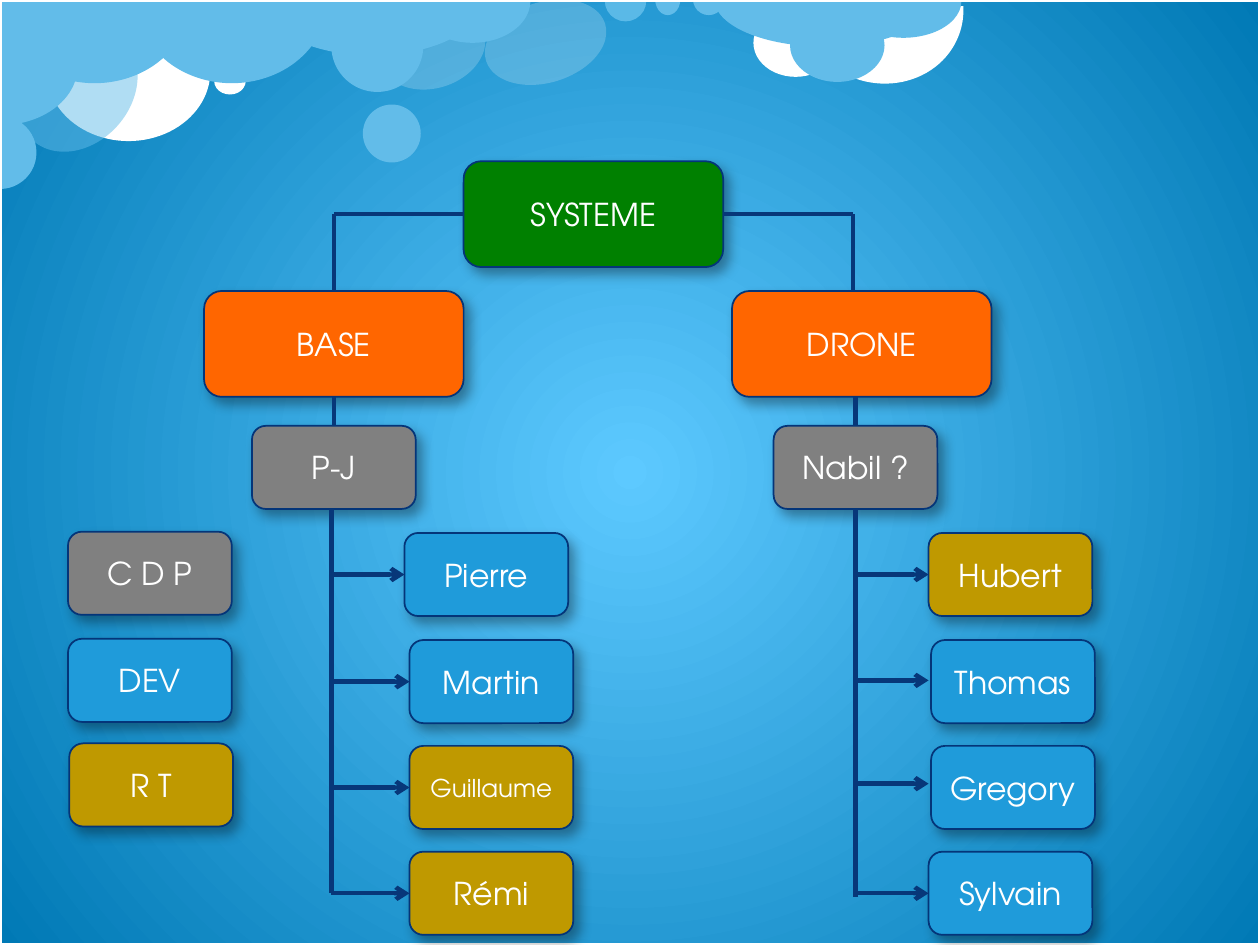
from lxml.etree import SubElement
from pptx import Presentation
from pptx.dml.color import RGBColor
from pptx.enum.shapes import MSO_CONNECTOR, MSO_SHAPE
from pptx.enum.text import MSO_ANCHOR, PP_ALIGN
from pptx.oxml.ns import qn
from pptx.util import Pt

PX = 9144
FONT = "TeX Gyre Adventor"
WHITE = RGBColor(0xFF, 0xFF, 0xFF)
GLOW = RGBColor(0x5D, 0xC9, 0xFF)
DEEP = RGBColor(0x00, 0x79, 0xB5)
CLOUD = RGBColor(0x62, 0xBC, 0xE9)
PALE = RGBColor(0x8F, 0xD9, 0xFB)
GREEN = RGBColor(0x00, 0x80, 0x00)
ORANGE = RGBColor(0xFF, 0x66, 0x00)
GRAY = RGBColor(0x80, 0x80, 0x80)
BLUE = RGBColor(0x1F, 0x9B, 0xDA)
GOLD = RGBColor(0xBF, 0x99, 0x00)
EDGE = RGBColor(0x04, 0x35, 0x79)
WIRE = RGBColor(0x07, 0x37, 0x79)

OVAL, PIE, ARC = MSO_SHAPE.OVAL, MSO_SHAPE.PIE, MSO_SHAPE.ARC
ANGLES = {OVAL: (), PIE: (0, 108), ARC: (151.8, 44.48)}

CLOUDS = [
    (OVAL, 311, -5, 64, 86, 72.8, WHITE, 20),
    (OVAL, 37, 1, 130, 111, 0, WHITE, 100),
    (ARC, 639, -60, 121, 131, 106.5, WHITE, 100),
    (OVAL, 598, 7, 67, 54, 0, WHITE, 100),
    (PIE, -1, -66, 152, 132, 0, CLOUD, 100),
    (PIE, 208, -44, 175, 88, 0, CLOUD, 100),
    (OVAL, 288, 83, 46, 46, 0, CLOUD, 100),
    (OVAL, 19, 18, 85, 107, 41.8, CLOUD, 50),
    (PIE, -29, 92, 58, 58, 270, CLOUD, 100),
    (OVAL, 170, 54, 25, 21, 0, WHITE, 100),
    (PIE, 108, -66, 152, 132, 0, CLOUD, 100),
    (PIE, 567, -38, 175, 75, 0, CLOUD, 100),
    (OVAL, 627, 7, 75, 58, 0, CLOUD, 100),
    (PIE, 671, -28, 92, 58, 0, CLOUD, 100),
    (OVAL, 401, -16, 64, 99, 72.8, WHITE, 20),
    (PIE, 480, -16, 33, 33, 0, PALE, 50),
    (PIE, 520, -13, 20, 25, 0, CLOUD, 100),
    (PIE, 550, -13, 25, 25, 0, CLOUD, 100),
    (OVAL, 263, 0, 73, 73, 0, CLOUD, 100),
    (PIE, 329, -33, 92, 67, 0, CLOUD, 100),
    (PIE, -47, -9, 93, 124, 270, CLOUD, 100),
]

LARGE, SMALL = (206, 84), (130, 66)
BOXES = [
    ("SYSTEME", 368, 128, LARGE, GREEN, 18),
    ("BASE", 162, 231, LARGE, ORANGE, 18),
    ("DRONE", 581, 231, LARGE, ORANGE, 18),
    ("P-J", 200, 338, SMALL, GRAY, 18),
    ("Nabil ?", 614, 338, SMALL, GRAY, 18),
    ("Pierre", 321, 423, SMALL, BLUE, 18),
    ("Martin", 325, 508, SMALL, BLUE, 18),
    ("Guillaume", 325, 592, SMALL, GOLD, 14),
    ("Rémi", 325, 676, SMALL, GOLD, 18),
    ("Hubert", 737, 423, SMALL, GOLD, 18),
    ("Thomas", 739, 508, SMALL, BLUE, 18),
    ("Gregory", 739, 592, SMALL, BLUE, 18),
    ("Sylvain", 737, 676, SMALL, BLUE, 18),
    ("C D P", 54, 422, SMALL, GRAY, 18),
    ("DEV", 54, 507, SMALL, BLUE, 18),
    ("R T", 55, 590, SMALL, GOLD, 18),
]

LINES = [
    (368, 170, 265, 170), (265, 170, 265, 231),
    (677, 170, 574, 170), (677, 170, 677, 231),
    (265, 315, 265, 338), (679, 315, 679, 338),
    (263, 404, 263, 709), (679, 404, 679, 712),
]
ARROWS = [
    (263, 456, 321), (265, 541, 325), (265, 625, 325), (263, 709, 325),
    (679, 456, 737), (679, 540, 737), (679, 622, 737), (679, 709, 737),
]

deck = Presentation()
deck.slide_width, deck.slide_height = 1000 * PX, 750 * PX
slide = deck.slides.add_slide(deck.slide_layouts[6])
sites = {}


def paint_sky():
    fill = slide.background.fill
    fill.gradient()
    for stop, tone in zip(fill.gradient_stops, (GLOW, DEEP)):
        stop.color.rgb = tone
    lin = slide._element.find(".//" + qn("a:lin"))
    grad = lin.getparent()
    grad.remove(lin)
    ring = SubElement(grad, qn("a:path"), path="circle")
    SubElement(ring, qn("a:fillToRect"), l="50000", t="50000", r="50000", b="50000")


def add_shape(kind, x, y, w, h):
    shape = slide.shapes.add_shape(kind, x * PX, y * PX, w * PX, h * PX)
    shape.shadow.inherit = False
    return shape


def add_cloud(kind, x, y, w, h, turn, tone, alpha):
    puff = add_shape(kind, x, y, w, h)
    for i, angle in enumerate(ANGLES[kind]):
        puff.adjustments[i] = angle
    puff.rotation = turn
    puff.fill.solid()
    puff.fill.fore_color.rgb = tone
    puff.line.fill.background()
    if alpha < 100:
        rgb = puff._element.spPr.find(".//" + qn("a:srgbClr"))
        SubElement(rgb, qn("a:alpha"), val=str(alpha * 1000))


def add_frame():
    frame = add_shape(MSO_SHAPE.RECTANGLE, 0, 0, 1000, 750)
    frame.fill.background()
    frame.line.color.rgb = WHITE
    frame.line.width = Pt(2)


def add_box(text, x, y, size, tone, points):
    w, h = size
    box = add_shape(MSO_SHAPE.FLOWCHART_ALTERNATE_PROCESS, x, y, w, h)
    box.fill.solid()
    box.fill.fore_color.rgb = tone
    box.line.color.rgb = EDGE
    box.line.width = Pt(1)
    effect = box._element.spPr.find(qn("a:effectLst"))
    shade = SubElement(effect, qn("a:outerShdw"), blurRad=str(Pt(7)),
                       dist=str(Pt(5)), dir=str(50 * 60000), rotWithShape="0")
    rgb = SubElement(shade, qn("a:srgbClr"), val="000000")
    SubElement(rgb, qn("a:alpha"), val="35000")
    frame = box.text_frame
    frame.vertical_anchor = MSO_ANCHOR.MIDDLE
    para = frame.paragraphs[0]
    para.text = text
    para.alignment = PP_ALIGN.CENTER
    para.font.name = FONT
    para.font.size = Pt(points)
    para.font.color.rgb = WHITE
    mid, half = x + w // 2, y + h // 2
    for i, spot in enumerate([(mid, y), (x, half), (mid, y + h), (x + w, half)]):
        sites[spot] = box, i


def add_line(x, y, to_x, to_y, arrow=False):
    wire = slide.shapes.add_connector(
        MSO_CONNECTOR.STRAIGHT, x * PX, y * PX, to_x * PX, to_y * PX)
    if (x, y) in sites:
        wire.begin_connect(*sites[x, y])
    if (to_x, to_y) in sites:
        wire.end_connect(*sites[to_x, to_y])
    wire.line.color.rgb = WIRE
    wire.line.width = Pt(2.5)
    if arrow:
        SubElement(wire.line._get_or_add_ln(), qn("a:tailEnd"), type="arrow")
    SubElement(wire._element.spPr, qn("a:effectLst"))


paint_sky()
for cloud in CLOUDS:
    add_cloud(*cloud)
add_frame()
for box in BOXES:
    add_box(*box)
for line in LINES:
    add_line(*line)
for x, y, to_x in ARROWS:
    add_line(x, y, to_x, y, True)

deck.save("out.pptx")
